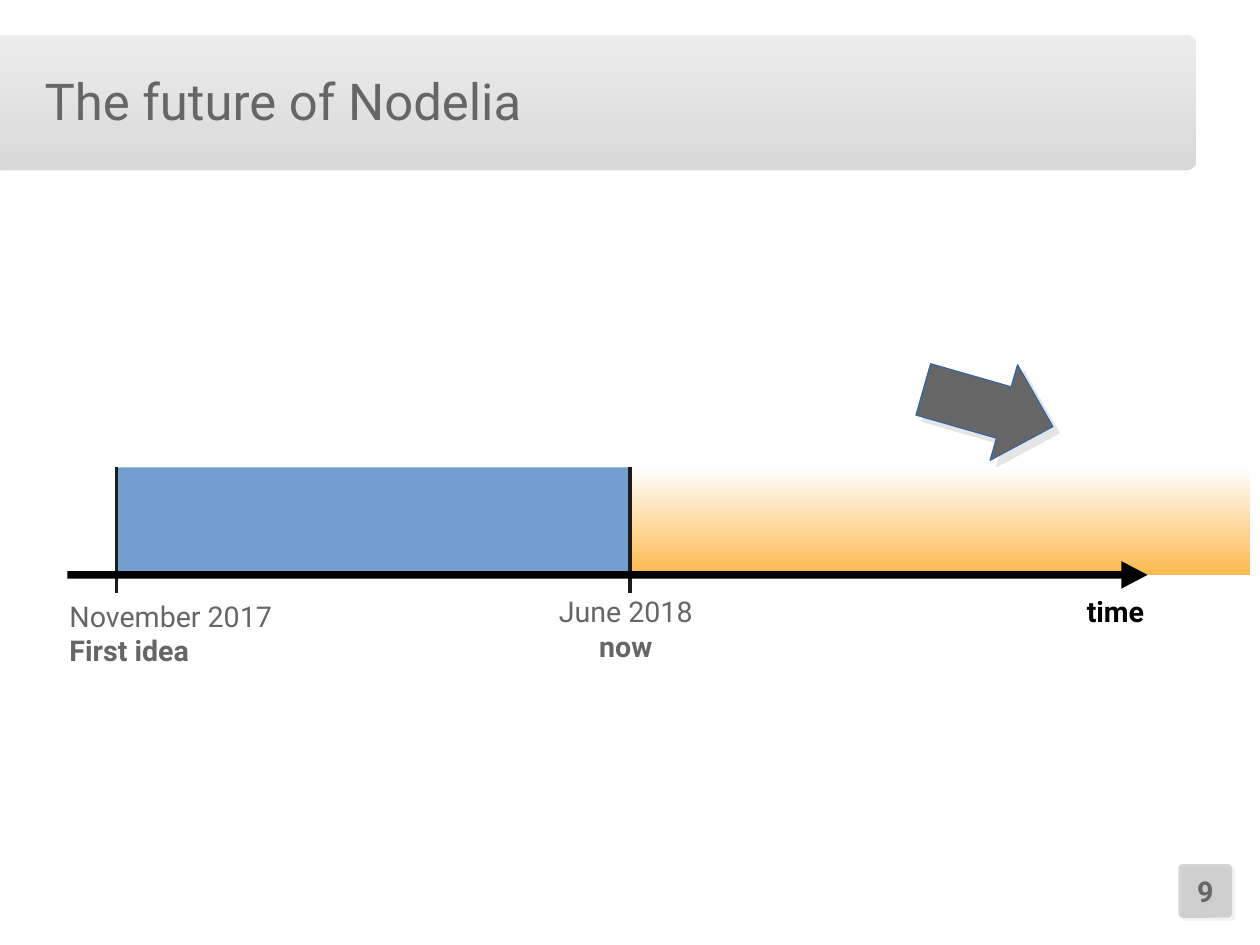
from lxml.etree import SubElement
from pptx import Presentation
from pptx.dml.color import RGBColor
from pptx.enum.shapes import MSO_CONNECTOR, MSO_SHAPE
from pptx.enum.text import MSO_ANCHOR, PP_ALIGN
from pptx.oxml.ns import qn
from pptx.util import Cm, Inches, Pt

FONT = "Roboto"
GREY = "666666"
TITLE = "The future of Nodelia"
PAGE = "9"
START, NOW, END = 1.02, 5.51, 10.94
BAND_TOP, BAND_H, TICK_END = 4.09, 0.94, 5.19
LABELS = [
    ((4.57, 5.15, 1.81, 0.97), PP_ALIGN.CENTER, GREY, [("June 2018", False), ("now", True)]),
    ((0.51, 5.19, 2.56, 0.97), PP_ALIGN.LEFT, GREY, [("November 2017", False), ("First idea", True)]),
    ((9.21, 5.15, 1.1, 0.52), PP_ALIGN.CENTER, "000000", [("time", True)]),
]


def rgb(color):
    return RGBColor.from_string(color)


def set_alpha(sp, percent):
    for clr in sp._element.spPr.iter(qn("a:srgbClr")):
        SubElement(clr, qn("a:alpha"), val=str(percent * 1000))


def add_shape(kind, box, fill, adjustments=()):
    sp = slide.shapes.add_shape(kind, *map(Inches, box))
    sp.shadow.inherit = False
    sp.line.fill.background()
    for i, value in enumerate(adjustments):
        sp.adjustments[i] = value
    if isinstance(fill, tuple):
        sp.fill.gradient()
        sp.fill.gradient_angle = 90
        for stop, color in zip(sp.fill.gradient_stops, fill):
            stop.color.rgb = rgb(color)
    else:
        sp.fill.solid()
        sp.fill.fore_color.rgb = rgb(fill)
    return sp


def add_shadow(sp, distance, percent):
    effects = sp._element.spPr.find(qn("a:effectLst"))
    shadow = SubElement(effects, qn("a:outerShdw"), blurRad="0", dist=str(Pt(distance)),
                        dir="2700000", algn="tl", rotWithShape="0")
    clr = SubElement(shadow, qn("a:srgbClr"), val="808080")
    SubElement(clr, qn("a:alpha"), val=str(percent * 1000))


def write(tf, lines, size, color, align):
    tf.word_wrap = True
    tf.text = "\n".join(text for text, bold in lines)
    for p, (text, bold) in zip(tf.paragraphs, lines):
        p.alignment = align
        font = p.runs[0].font
        font.name, font.size, font.bold = FONT, Pt(size), bold
        font.color.rgb = rgb(color)


def center_in_box(tf):
    tf.margin_left = tf.margin_top = tf.margin_right = tf.margin_bottom = 0
    tf.vertical_anchor = MSO_ANCHOR.MIDDLE


prs = Presentation()
prs.slide_width = Cm(28)
prs.slide_height = Cm(21)
slide = prs.slides.add_slide(prs.slide_layouts[5])

header = add_shape(MSO_SHAPE.ROUNDED_RECTANGLE, (-0.08, 0.31, 10.55, 1.18),
                   ("B2B2B2", "DDDDDD"), [0.078])
set_alpha(header, 50)

badge = add_shape(MSO_SHAPE.ROUNDED_RECTANGLE, (10.31, 7.56, 0.47, 0.47), "B2B2B2", [0.078])
set_alpha(badge, 54)
add_shadow(badge, 2.8, 17)
center_in_box(badge.text_frame)
write(badge.text_frame, [(PAGE, True)], 18, GREY, PP_ALIGN.CENTER)

title = slide.shapes.title
title.left, title.top, title.width, title.height = map(Inches, (0.39, 0.39, 6.77, 0.98))
center_in_box(title.text_frame)
write(title.text_frame, [(TITLE, False)], 32, GREY, PP_ALIGN.LEFT)
slide.shapes._spTree.append(title._element)

pointer = add_shape(MSO_SHAPE.UP_ARROW, (8.21, 2.98, 0.87, 1.18), GREY, [0.537, 0.514])
pointer.rotation = 106
pointer.line.color.rgb = rgb("3465A4")
pointer.line.width = Pt(0)
add_shadow(pointer, 5.7, 20)

for left, right, fill in [(NOW, END, ("FDB94D", "FFFFFF")), (START, NOW, "729FCF")]:
    add_shape(MSO_SHAPE.RECTANGLE, (left, BAND_TOP, right - left, BAND_H), fill)

for x in (START, NOW):
    tick = slide.shapes.add_connector(MSO_CONNECTOR.STRAIGHT, Inches(x), Inches(BAND_TOP),
                                      Inches(x), Inches(TICK_END))
    tick.line.color.rgb = rgb("1C1C1C")
    tick.line.width = Pt(2.3)
    SubElement(tick._element.spPr, qn("a:effectLst"))

for box, align, color, lines in LABELS:
    label = slide.shapes.add_textbox(*map(Inches, box))
    write(label.text_frame, lines, 18, color, align)

add_shape(MSO_SHAPE.RIGHT_ARROW, (0.59, 4.91, 9.45, 0.24), "000000", [0.275, 0.953])

prs.save("out.pptx")
